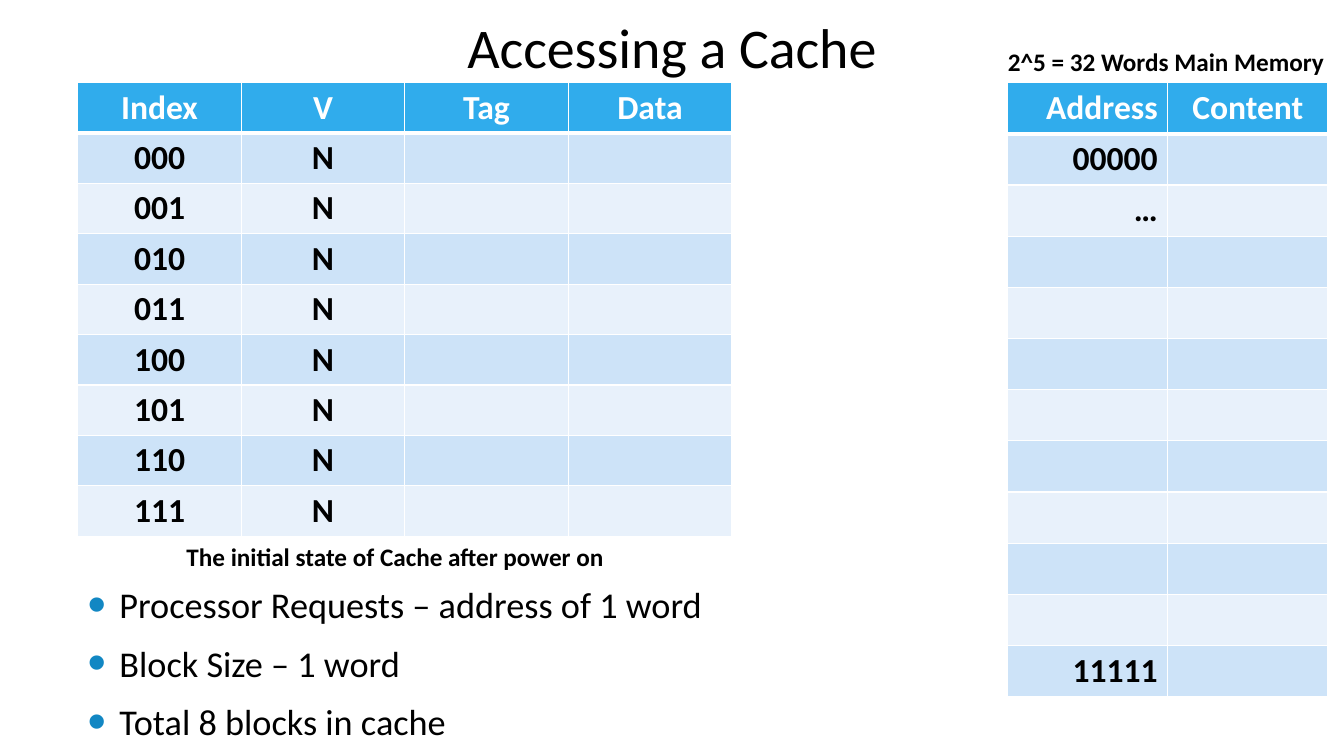
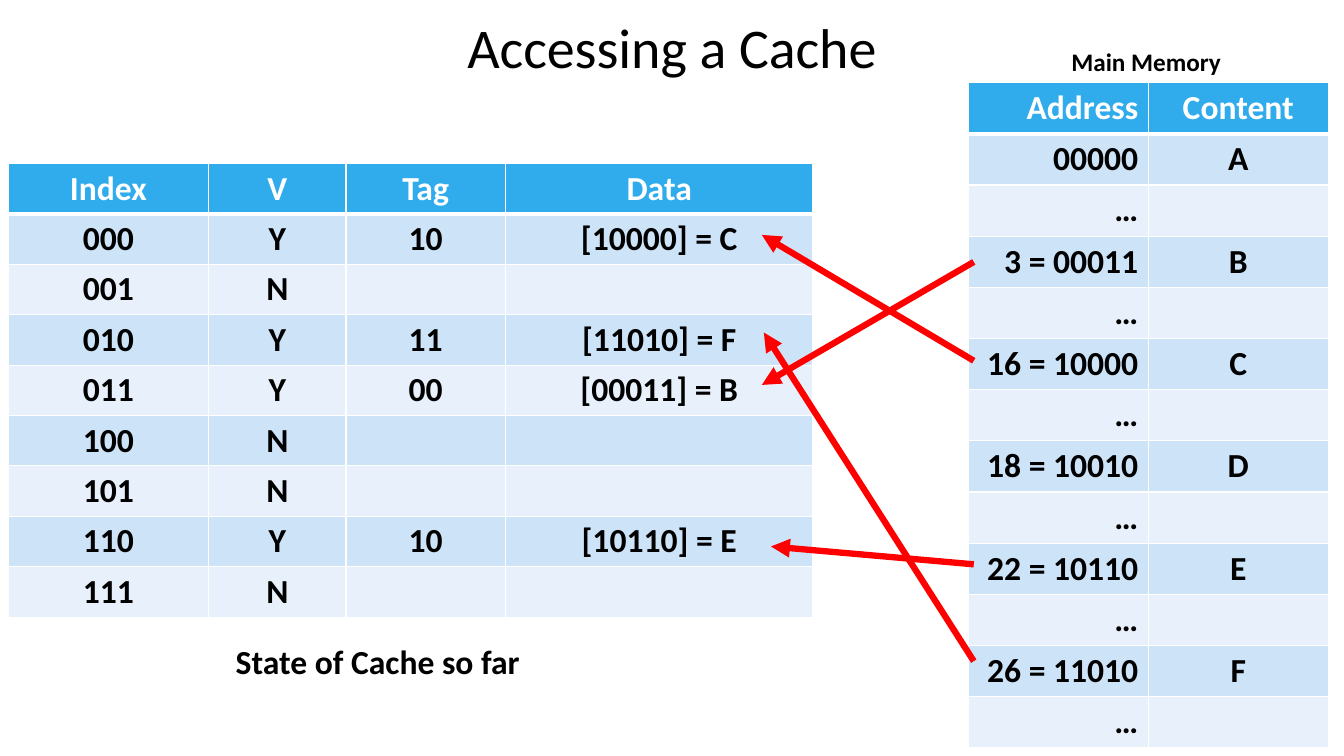
from dataclasses import dataclass

from lxml import etree
from pptx import Presentation
from pptx import util as u
from pptx.dml import color
from pptx.enum import shapes, text
from pptx.oxml import ns

ALIGN = {"l": text.PP_ALIGN.LEFT, "c": text.PP_ALIGN.CENTER,
         "r": text.PP_ALIGN.RIGHT, "j": text.PP_ALIGN.JUSTIFY}


@dataclass(frozen=True)
class Theme:
    font: str = "Calibri"
    ink: str = "000000"
    white: str = "FFFFFF"
    header: str = "30ACEC"
    band_dark: str = "CDE3F8"
    band_light: str = "E8F1FB"
    bullet: str = "1287C3"
    arrow: str = "FF0000"
    title_size: float = 40
    bullet_size: float = 25.9
    cell_size: float = 24
    caption_size: float = 18
    thin: float = 1
    thick: float = 3
    arrow_width: float = 4.5


def add_xml(parent, tag, **attributes):
    return etree.SubElement(parent, ns.qn(tag), attributes)


class SlideMaker:
    """Holds the style and the slide being drawn; lengths are centimetres."""

    def __init__(self, deck, theme):
        self.deck, self.theme, self.page = deck, theme, None

    def new_page(self, title):
        self.page = self.deck.slides.add_slide(self.deck.slide_layouts[6])
        frame = self.text_frame(0, 0, 33.87, 2.34)
        frame.vertical_anchor = text.MSO_ANCHOR.MIDDLE
        self.add_span(frame.paragraphs[0], title, self.theme.title_size, align="c")

    def text_frame(self, left, top, width, height):
        box = self.page.shapes.add_textbox(*map(u.Cm, (left, top, width, height)))
        box.text_frame.word_wrap = True
        return box.text_frame

    def add_span(self, para, words, size, ink=None, bold=False, align="l"):
        para.alignment = ALIGN[align]
        span = para.add_run()
        span.text = words
        span.font.name = self.theme.font
        span.font.size = u.Pt(size)
        span.font.bold = bold
        span.font.color.rgb = color.RGBColor.from_string(ink or self.theme.ink)

    def caption(self, words, left, top, width, height=1.02, size=None):
        frame = self.text_frame(left, top, width, height)
        frame.word_wrap = False
        frame.auto_size = text.MSO_AUTO_SIZE.SHAPE_TO_FIT_TEXT
        self.add_span(frame.paragraphs[0], words, size or self.theme.caption_size, bold=True)

    def bullets(self, lines, left, top, width, height):
        frame = self.text_frame(left, top, width, height)
        frame.vertical_anchor = text.MSO_ANCHOR.MIDDLE
        for number, line in enumerate(lines):
            para = frame.add_paragraph() if number else frame.paragraphs[0]
            para.space_before, para.space_after = u.Pt(4.5), u.Pt(6)
            self.add_span(para, line, self.theme.bullet_size, align="j")
            settings = para._p.get_or_add_pPr()
            indent = u.Cm(0.8)
            settings.set("marL", str(indent))
            settings.set("indent", str(-indent))
            add_xml(add_xml(settings, "a:buClr"), "a:srgbClr", val=self.theme.bullet)
            add_xml(settings, "a:buSzPct", val="145000")
            add_xml(settings, "a:buFont", typeface="Arial")
            add_xml(settings, "a:buChar", char="•")

    def table(self, rows, left, top, widths, row_height, aligns):
        grid = self.page.shapes.add_table(
            len(rows), len(widths), u.Cm(left), u.Cm(top),
            u.Cm(sum(widths)), u.Cm(row_height * len(rows))).table
        for column, width in zip(grid.columns, widths):
            column.width = u.Cm(width)
        for r, row in enumerate(rows):
            grid.rows[r].height = u.Cm(row_height)
            for c, words in enumerate(row):
                self.fill_cell(grid.cell(r, c), words, r, aligns[c])

    def fill_cell(self, cell, words, row, align):
        theme = self.theme
        cell.vertical_anchor = text.MSO_ANCHOR.MIDDLE
        cell.margin_top = cell.margin_bottom = u.Cm(0.1)
        # White borders, with a heavier rule under the header
        for side in "LRTB":
            heavy = (row, side) in ((0, "B"), (1, "T"))
            width = u.Pt(theme.thick if heavy else theme.thin)
            border = add_xml(cell._tc.get_or_add_tcPr(), f"a:ln{side}", w=str(width))
            add_xml(add_xml(border, "a:solidFill"), "a:srgbClr", val=theme.white)
        band = theme.band_dark if row % 2 else theme.band_light
        cell.fill.solid()
        cell.fill.fore_color.rgb = color.RGBColor.from_string(band if row else theme.header)
        if words:
            self.add_span(cell.text_frame.paragraphs[0], words, theme.cell_size,
                          theme.ink if row else theme.white, True, align)

    def arrow(self, start, end):
        line = self.page.shapes.add_connector(
            shapes.MSO_CONNECTOR.STRAIGHT, *map(u.Cm, (*start, *end)))
        line.line.color.rgb = color.RGBColor.from_string(self.theme.arrow)
        line.line.width = u.Pt(self.theme.arrow_width)
        properties = line.element.spPr
        add_xml(properties.find(ns.qn("a:ln")), "a:tailEnd", type="triangle")
        add_xml(properties, "a:effectLst")


TITLE = "Accessing a Cache"
CACHE_HEADER = ("Index", "V", "Tag", "Data")
MEMORY_HEADER = ("Address", "Content")
CACHE_ROW, MEMORY_ROW, MEMORY_TOP = 1.27, 1.29, 2.08


def cache_rows(stored):
    """Eight blocks; stored maps an index to its tag and content."""
    rows = [CACHE_HEADER]
    for index in (f"{number:03b}" for number in range(8)):
        if index in stored:
            tag, content = stored[index]
            rows.append((index, "Y", tag, f"[{tag}{index}] = {content}"))
        else:
            rows.append((index, "N", "", ""))
    return rows


def initial_state(maker):
    maker.new_page(TITLE)
    # Main memory
    memory = [MEMORY_HEADER, ("00000", ""), ("…", ""), *[("", "")] * 8, ("11111", "")]
    maker.table(memory, 25.4, MEMORY_TOP, [4.03] * 2, MEMORY_ROW, "rc")
    maker.caption("2^5 = 32 Words Main Memory", 25.15, 1.04, 8.53)
    # Empty cache
    maker.table(cache_rows({}), 1.96, MEMORY_TOP, [4.12] * 4, CACHE_ROW, "cccc")
    maker.caption("The initial state of Cache after power on", 4.45, 13.51, 11.51)
    maker.bullets(("Processor Requests – address of 1 word", "Block Size – 1 word",
                   "Total 8 blocks in cache"), 1.96, 14.53, 16.26, 4.34)


def state_so_far(maker):
    maker.new_page(TITLE)
    # Main memory: a gap row follows every word
    words = (("00000", "A"), ("3 = 00011", "B"), ("16 = 10000", "C"),
             ("18 = 10010", "D"), ("22 = 10110", "E"), ("26 = 11010", "F"))
    memory = [MEMORY_HEADER]
    for word in words:
        memory += [word, ("…", "")]
    maker.table(memory, 24.41, MEMORY_TOP, [4.53] * 2, MEMORY_ROW, "rc")
    maker.caption("Main Memory", 26.75, 1.04, 4.34)
    # Cache with the fetched blocks
    stored = {"000": ("10", "C"), "010": ("11", "F"),
              "011": ("00", "B"), "110": ("10", "E")}
    maker.table(cache_rows(stored), 0.2, 4.12, [5.06, 3.46, 4.02, 7.75], CACHE_ROW, "cccc")
    maker.caption("State of Cache so far", 5.69, 16.03, 8.05, 1.27, maker.theme.cell_size)
    # Arrows from memory words to cache blocks
    for start_y, end in ((9.09, (19.2, 5.92)), (16.66, (19.25, 8.38)),
                         (6.6, (19.2, 9.7)), (14.22, (19.43, 13.77))):
        maker.arrow((24.54, start_y), end)


def main():
    deck = Presentation()
    deck.slide_width, deck.slide_height = u.Cm(33.87), u.Cm(19.05)
    maker = SlideMaker(deck, Theme())
    initial_state(maker)
    state_so_far(maker)
    deck.save("out.pptx")


if __name__ == "__main__":
    main()
